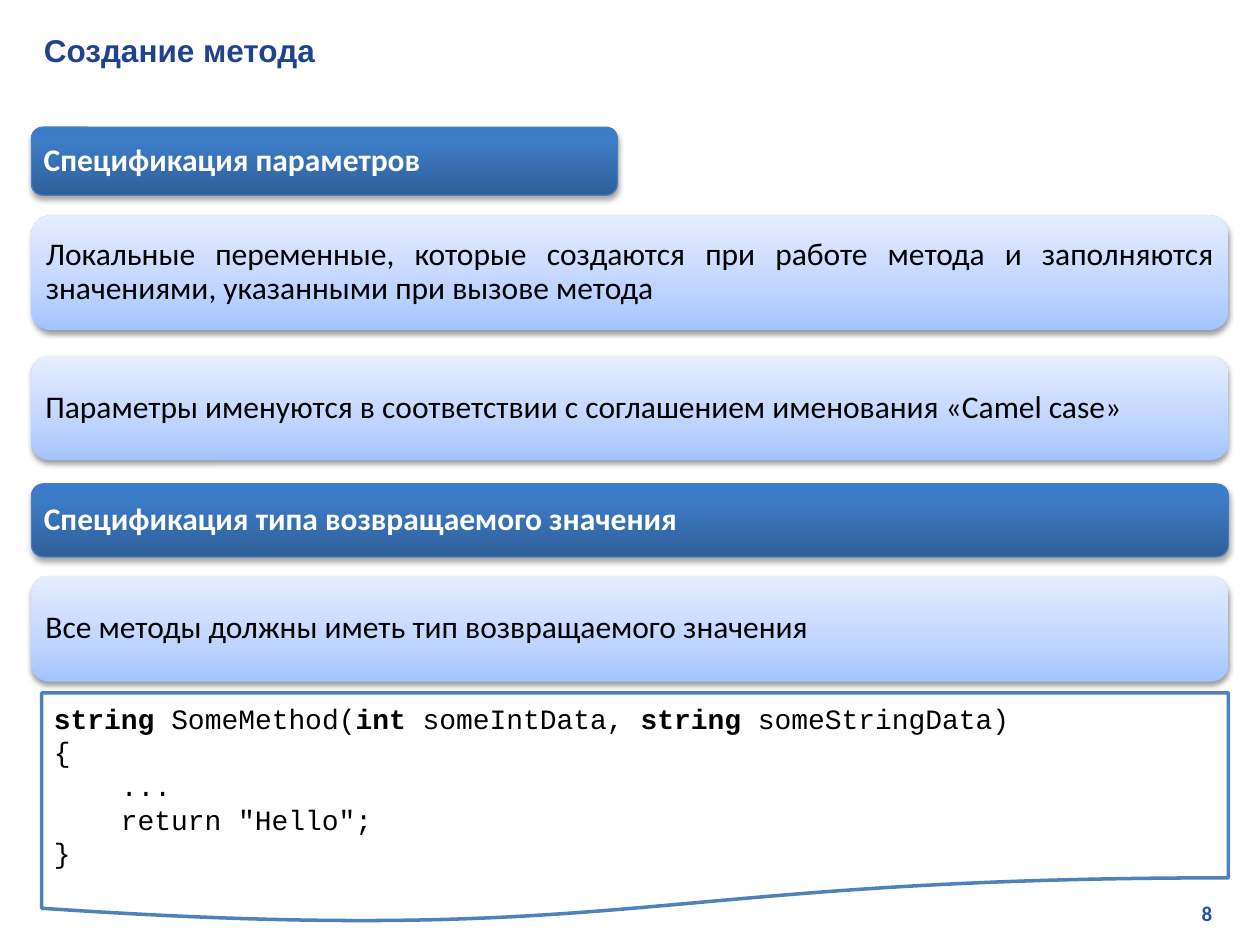
from lxml import etree
from pptx import Presentation
from pptx.dml.color import RGBColor
from pptx.enum.shapes import MSO_SHAPE
from pptx.enum.text import MSO_ANCHOR, PP_ALIGN
from pptx.oxml import parse_xml
from pptx.oxml.ns import qn
from pptx.util import Inches, Pt

NS = 'xmlns:a="http://schemas.openxmlformats.org/drawingml/2006/main"'
LEFT, WIDTH = 0.25, 9.5
HEADER_STOPS = [(0, "2F5F99"), (80, "3D7CC7"), (100, "3A7CCB")]
BODY_STOPS = [(0, "A4C4FF"), (35, "BFD4FF"), (100, "E6EEFF")]


def rgb(value):
    return RGBColor.from_string(value)


def format_run(r, size, font, color, bold=False):
    r.font.size = Pt(size)
    r.font.name = font
    r.font.bold = bold
    r.font.color.rgb = rgb(color)


def set_gradient(sp, stops):
    """Vertical gradient whose first stop is at the bottom."""
    sp.fill.gradient()
    grad = sp._element.spPr.find(qn("a:gradFill"))
    items = "".join(
        f'<a:gs pos="{pos * 1000}"><a:srgbClr val="{color}"/></a:gs>'
        for pos, color in stops)
    new = parse_xml(f'<a:gradFill {NS} rotWithShape="1"><a:gsLst>{items}</a:gsLst>'
                    '<a:lin ang="16200000" scaled="0"/></a:gradFill>')
    grad.getparent().replace(grad, new)


def set_shadow(sp, alpha, distance):
    sp.shadow.inherit = False
    effects = sp._element.spPr.find(qn("a:effectLst"))
    shadow = etree.SubElement(effects, qn("a:outerShdw"), blurRad=str(Pt(3.1)),
                              dist=str(Pt(distance)), dir="5400000", rotWithShape="0")
    color = etree.SubElement(shadow, qn("a:srgbClr"), val="000000")
    etree.SubElement(color, qn("a:alpha"), val=str(alpha * 1000))


def add_label(slide, box, text, size, font, color, align):
    sp = slide.shapes.add_textbox(*map(Inches, box))
    tf = sp.text_frame
    tf.word_wrap = True
    tf.vertical_anchor = MSO_ANCHOR.MIDDLE
    tf.text = text
    p = tf.paragraphs[0]
    p.alignment = align
    format_run(p.runs[0], size, font, color, True)


def add_panel(slide, box, text, header=False):
    """Rounded panel: dark for a section header, light for a statement."""
    sp = slide.shapes.add_shape(MSO_SHAPE.ROUNDED_RECTANGLE, *map(Inches, box))
    set_gradient(sp, HEADER_STOPS if header else BODY_STOPS)
    if header:
        sp.line.color.rgb = rgb("4B7EBC")
        sp.line.width = Pt(0.75)
        set_shadow(sp, 35, 1.8)
    else:
        sp.line.fill.background()
        set_shadow(sp, 38, 1.6)
    tf = sp.text_frame
    tf.word_wrap = True
    tf.vertical_anchor = MSO_ANCHOR.MIDDLE
    tf.margin_left = tf.margin_right = tf.margin_top = tf.margin_bottom = Inches(0.07)
    tf.text = text
    p = tf.paragraphs[0]
    p.alignment = PP_ALIGN.LEFT if header else PP_ALIGN.JUSTIFY
    p.line_spacing = 0.9
    format_run(p.runs[0], 18, "Calibri", "FFFFFF" if header else "000000", header)


def add_code(slide, box, lines):
    """Code sheet; each line is a list of (text, bold) pieces."""
    sp = slide.shapes.add_shape(MSO_SHAPE.FLOWCHART_DOCUMENT, *map(Inches, box))
    sp.shadow.inherit = False
    sp.fill.solid()
    sp.fill.fore_color.rgb = rgb("FFFFFF")
    sp.line.color.rgb = rgb("4F81BD")
    sp.line.width = Pt(2)
    tf = sp.text_frame
    tf.word_wrap = True
    tf.vertical_anchor = MSO_ANCHOR.MIDDLE
    for i, pieces in enumerate(lines):
        p = tf.add_paragraph() if i else tf.paragraphs[0]
        p.alignment = PP_ALIGN.LEFT
        for text, bold in pieces:
            r = p.add_run()
            r.text = text
            format_run(r, 16, "Courier New", "000000", bold)


def main():
    prs = Presentation()
    prs.slide_width, prs.slide_height = Inches(10), Inches(7.5)
    slide = prs.slides.add_slide(prs.slide_layouts[6])

    # Page number and title
    add_label(slide, (7.6, 7.1, 2.12, 0.3), "8", 12, "Calibri", "2750AB", PP_ALIGN.RIGHT)
    add_label(slide, (LEFT, 0.2, 9.54, 0.4), "Создание метода", 18, "Arial", "21438F",
              PP_ALIGN.LEFT)

    # Section panels: top, width, height, text, header
    panels = [
        (1.01, 4.65, 0.54, "Спецификация параметров", True),
        (1.71, WIDTH, 0.91, "Локальные переменные, которые создаются при работе метода "
         "и заполняются значениями, указанными при вызове метода", False),
        (2.83, WIDTH, 0.82, "Параметры именуются в соответствии с соглашением "
         "именования «Camel case»", False),
        (3.84, WIDTH, 0.58, "Спецификация типа возвращаемого значения", True),
        (4.57, WIDTH, 0.84, "Все методы должны иметь тип возвращаемого значения", False),
    ]
    for top, width, height, text, header in panels:
        add_panel(slide, (LEFT, top, width, height), text, header)

    # Code example
    add_code(slide, (0.33, 5.5, 9.42, 1.83), [
        [("string ", True), ("SomeMethod(", False), ("int ", True),
         ("someIntData, ", False), ("string ", True), ("someStringData)", False)],
        [("{", False)],
        [("    ...", False)],
        [('    return "Hello";', False)],
        [("}", False)],
    ])
    prs.save("out.pptx")


if __name__ == "__main__":
    main()
